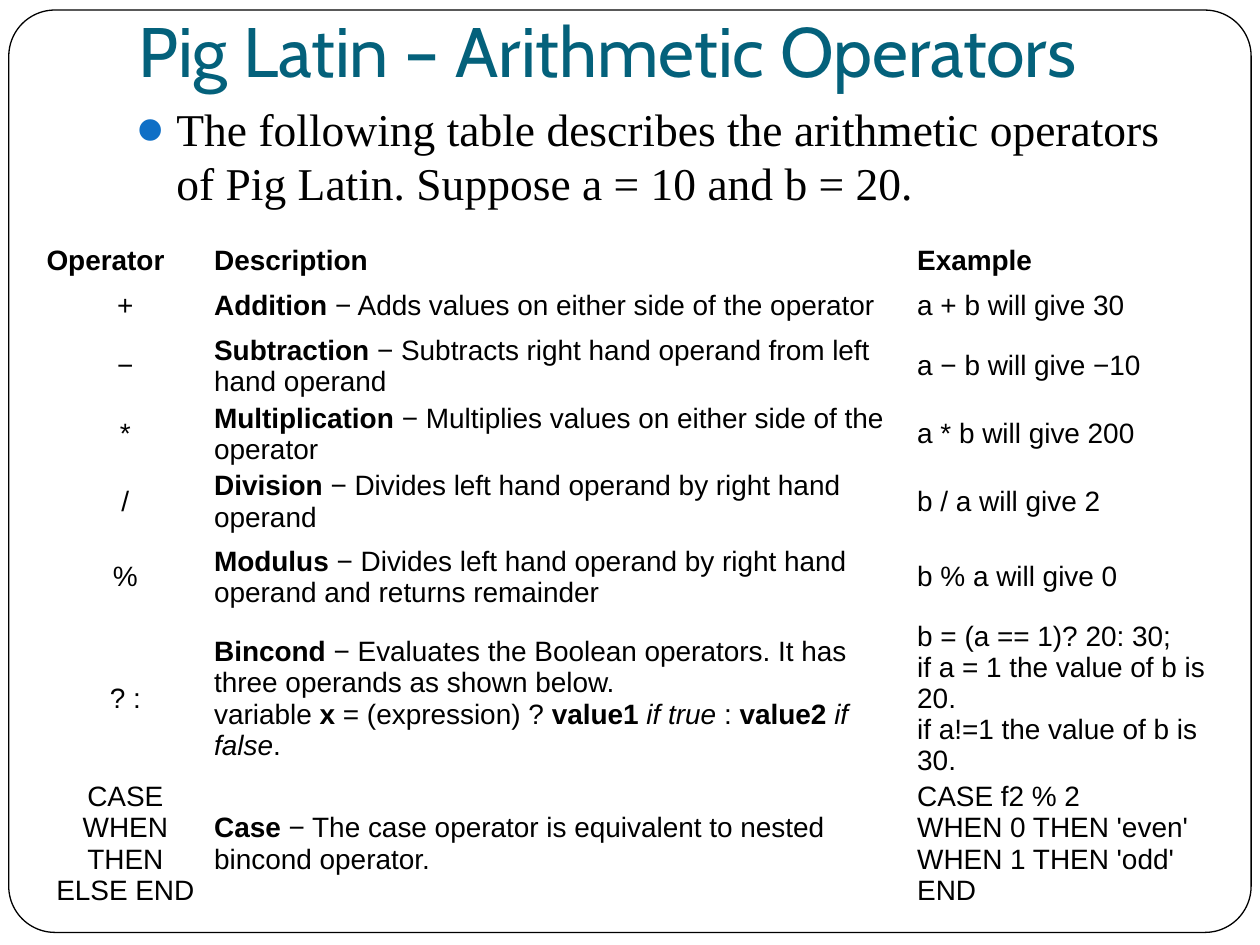
from lxml import etree
from pptx import Presentation
from pptx.dml.color import RGBColor
from pptx.enum.shapes import MSO_SHAPE
from pptx.enum.text import MSO_ANCHOR, MSO_AUTO_SIZE, PP_ALIGN
from pptx.oxml.ns import qn
from pptx.util import Inches, Pt

ROUNDED = MSO_SHAPE.ROUNDED_RECTANGLE
TOP, MIDDLE, BOTTOM = MSO_ANCHOR.TOP, MSO_ANCHOR.MIDDLE, MSO_ANCHOR.BOTTOM
LEFT, CENTER = PP_ALIGN.LEFT, PP_ALIGN.CENTER
NO_AUTOFIT = MSO_AUTO_SIZE.NONE

# Content: a cell is a list of paragraphs, a paragraph a list of (text, style)
TITLE = "Pig Latin – Arithmetic Operators"
INTRO = ("The following table describes the arithmetic operators of Pig Latin. "
         "Suppose a = 10 and b = 20.")
HEADERS = ["Operator", "Description", "Example"]
BINCOND_SYNTAX = [
    ("variable ", ""), ("x", "b"), (" = (expression) ? ", ""), ("value1 ", "b"),
    ("if true", "i"), (" : ", ""), ("value2 ", "b"), ("if false", "i"), (".", ""),
]
# Operator lines, name, description, further description paragraphs, example lines
OPERATORS = [
    (["+"], "Addition", "Adds values on either side of the operator", [],
     ["a + b will give 30"]),
    (["−"], "Subtraction", "Subtracts right hand operand from left hand operand", [],
     ["a − b will give −10"]),
    (["*"], "Multiplication", "Multiplies values on either side of the operator", [],
     ["a * b will give 200"]),
    (["/"], "Division", "Divides left hand operand by right hand operand", [],
     ["b / a will give 2"]),
    (["%"], "Modulus",
     "Divides left hand operand by right hand operand and returns remainder", [],
     ["b % a will give 0"]),
    (["? :"], "Bincond",
     "Evaluates the Boolean operators. It has three operands as shown below.",
     [BINCOND_SYNTAX],
     ["b = (a == 1)? 20: 30;", "if a = 1 the value of b is 20.",
      "if a!=1 the value of b is 30."]),
    (["CASE", "WHEN", "THEN", "ELSE END"], "Case",
     "The case operator is equivalent to nested bincond operator.", [],
     ["CASE f2 % 2", "WHEN 0 THEN 'even'", "WHEN 1 THEN 'odd'", "END"]),
]

# Theme and layout
THEME = {
    "paper": "FFFFFF", "ink": "000000", "bullet": "0F6FC6",
    "title": {"name": "Cabin", "size": 40, "color": "04617B"},
    "body": {"name": "Times New Roman", "size": 26, "color": "000000"},
    "table": {"name": "Arial", "size": 16, "color": "000000"},
}
FRAME_BOX = (0.07, 0.08, 9.86, 7.32)
TITLE_BOX = (1, -0.42, 8.5, 1.25)
BODY_BOX = (1, 0.75, 8.5, 5)
TABLE_AT = (0.33, 1.93)
COLUMN_WIDTHS = [1.33, 5.58, 2.42]
ROW_HEIGHTS = [0.17, 0.42, 0.54, 0.54, 0.42, 0.66, 1.04, 0.66]
CELL_MARGINS = (0.04, 0.02, 0.04, 0.02)
INDENT = 0.3


def color(value):
    return RGBColor.from_string(value)


def set_font(font, look, style=""):
    values = {"name": look["name"], "size": Pt(look["size"]),
              "bold": "b" in style, "italic": "i" in style}
    for name, value in values.items():
        setattr(font, name, value)
    font.color.rgb = color(look["color"])


def set_margins(target, margins):
    for side, value in zip(("left", "top", "right", "bottom"), margins):
        setattr(target, "margin_" + side, Inches(value))


def fill_placeholder(shape, box, text, look, anchor, margins):
    shape.left, shape.top, shape.width, shape.height = map(Inches, box)
    frame = shape.text_frame
    frame.text = text
    values = {"word_wrap": True, "auto_size": NO_AUTOFIT, "vertical_anchor": anchor}
    for name, value in values.items():
        setattr(frame, name, value)
    set_margins(frame, margins)
    paragraph = frame.paragraphs[0]
    paragraph.alignment = LEFT
    paragraph.space_before = Pt(0)
    set_font(paragraph.runs[0].font, look)
    return paragraph


def add_bullet(paragraph):
    properties = paragraph._p.get_or_add_pPr()
    properties.set("marL", str(Inches(INDENT)))
    properties.set("indent", str(-Inches(INDENT)))
    bullet_color = etree.SubElement(properties, qn("a:buClr"))
    etree.SubElement(bullet_color, qn("a:srgbClr"), val=THEME["bullet"])
    etree.SubElement(properties, qn("a:buSzPct"), val="85000")
    etree.SubElement(properties, qn("a:buChar"), char="⚫")


def plain(lines):
    return [[(line, "")] for line in lines]


def fill_cell(cell, paragraphs, alignment):
    cell.fill.background()
    cell.vertical_anchor = MIDDLE
    set_margins(cell, CELL_MARGINS)
    frame = cell.text_frame
    for index, runs in enumerate(paragraphs):
        paragraph = frame.add_paragraph() if index else frame.paragraphs[0]
        paragraph.alignment = alignment
        for text, style in runs:
            run = paragraph.add_run()
            run.text = text
            set_font(run.font, THEME["table"], style)


def add_frame(slide):
    frame = slide.shapes.add_shape(ROUNDED, *map(Inches, FRAME_BOX))
    frame.adjustments[0] = 0.05
    frame.shadow.inherit = False
    frame.fill.solid()
    frame.fill.fore_color.rgb = color(THEME["paper"])
    frame.line.color.rgb = color(THEME["ink"])
    frame.line.width = Pt(0.75)
    # Send it behind the placeholders
    slide.shapes._spTree.insert(2, frame._element)


def add_operator_table(slide):
    rows = [[[[(header, "b")]] for header in HEADERS]]
    for symbols, name, description, extra, examples in OPERATORS:
        meaning = [[(name, "b"), (" − " + description, "")]] + extra
        rows.append([plain(symbols), meaning, plain(examples)])

    size = (sum(COLUMN_WIDTHS), sum(ROW_HEIGHTS))
    table = slide.shapes.add_table(
        len(rows), len(HEADERS), *map(Inches, TABLE_AT + size)).table
    table.first_row = table.horz_banding = False
    for column, width in zip(table.columns, COLUMN_WIDTHS):
        column.width = Inches(width)
    for row, height in zip(table.rows, ROW_HEIGHTS):
        row.height = Inches(height)
    for row_index, row in enumerate(rows):
        for column_index, paragraphs in enumerate(row):
            is_symbol = row_index > 0 and column_index == 0
            fill_cell(table.cell(row_index, column_index), paragraphs,
                      CENTER if is_symbol else LEFT)


def main():
    presentation = Presentation()
    presentation.slide_width, presentation.slide_height = Inches(10), Inches(7.5)
    slide = presentation.slides.add_slide(presentation.slide_layouts[1])

    # Outline, title and introduction
    add_frame(slide)
    fill_placeholder(slide.shapes.title, TITLE_BOX, TITLE, THEME["title"],
                     BOTTOM, (0.1, 0.05, 0.1, 0.1))
    intro = fill_placeholder(slide.placeholders[1], BODY_BOX, INTRO, THEME["body"],
                             TOP, (0.1, 0.05, 0.1, 0.05))
    add_bullet(intro)

    # Operators
    add_operator_table(slide)
    presentation.save("out.pptx")


if __name__ == "__main__":
    main()
